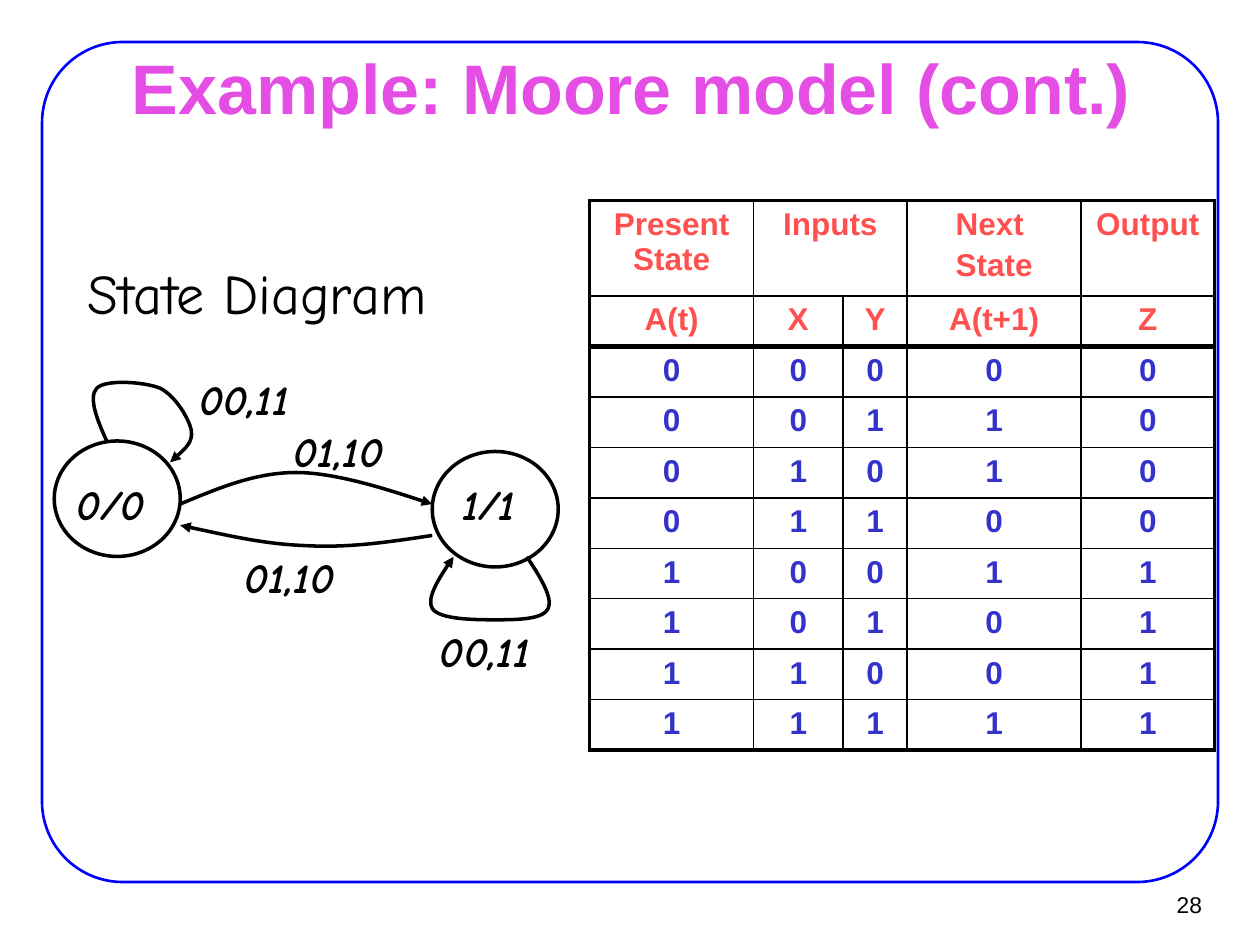
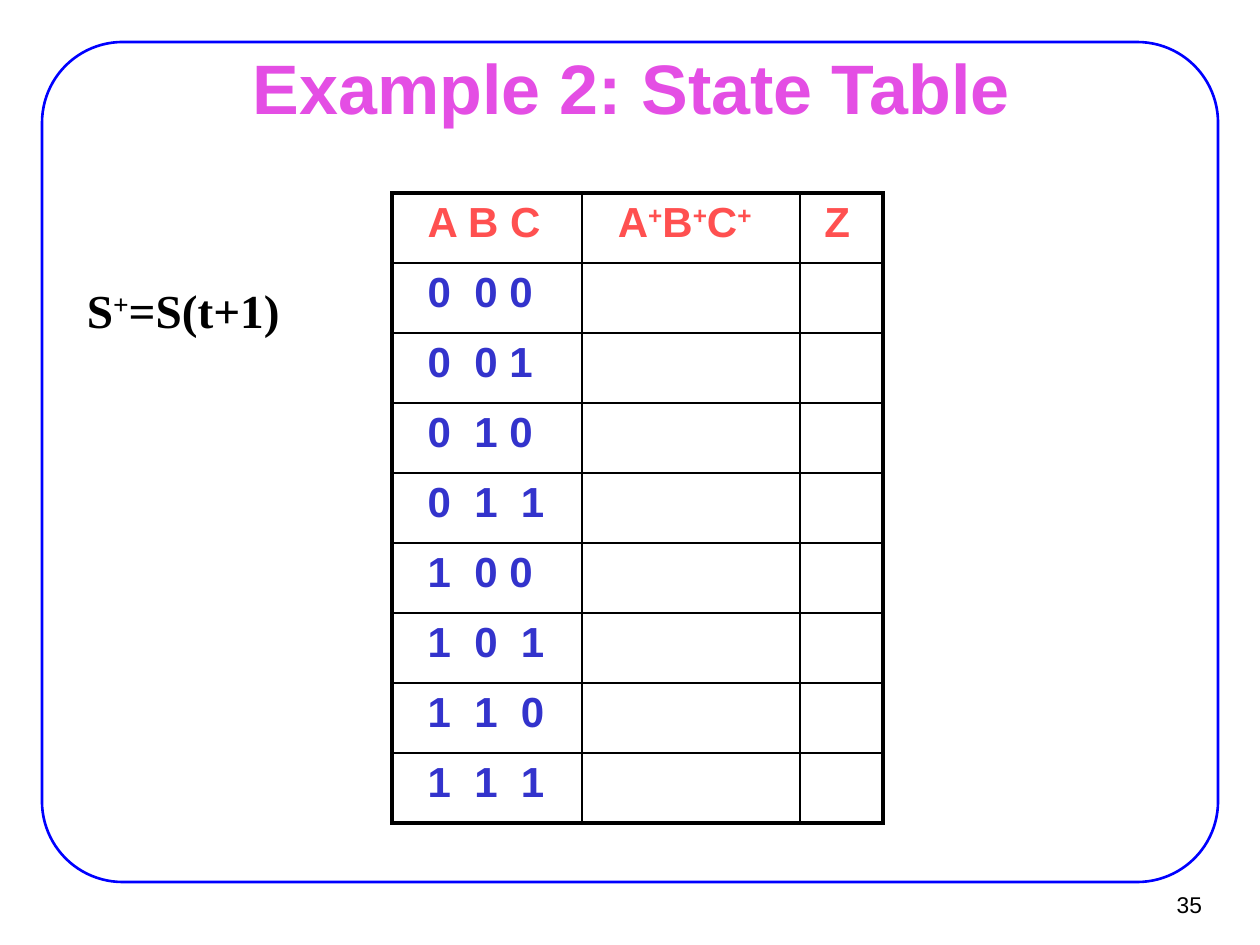
from lxml.etree import SubElement
from pptx import Presentation
from pptx.dml.color import RGBColor
from pptx.enum.shapes import MSO_SHAPE as SHAPE
from pptx.enum.text import MSO_ANCHOR as ANCHOR, PP_ALIGN as ALIGN
from pptx.oxml.ns import qn
from pptx.util import Pt

BLACK = RGBColor(0x00, 0x00, 0x00)
BLUE = RGBColor(0x00, 0x00, 0xFF)
PINK = RGBColor(0xE4, 0x4E, 0xE4)
RED = RGBColor(0xFF, 0x50, 0x50)
INDIGO = RGBColor(0x33, 0x33, 0xCC)
SANS, COMIC, SERIF = "Arial", "Comic Neue", "Times New Roman"

MOORE_HEAD = [["Present State", "Inputs", "", "Next \nState", "Output"],
              ["A(t)", "X", "Y", "A(t+1)", "Z"]]
MOORE_ROWS = ["00000", "00110", "01010", "01100",
              "10011", "10101", "11001", "11111"]
MOORE_COLS = [93.6, 51.1, 36.7, 99.4, 76.3]
MOORE_HEIGHTS = [54.7] + [28.8] * 9

STATE_HEAD = [["A B C", "A^+B^+C^+", "Z"]]
STATE_ROWS = ["0  0 0", "0  0 1", "0  1 0", "0  1  1",
              "1  0 0", "1  0  1", "1  1  0", "1  1  1"]
STATE_COLS = [108.7, 124.6, 47.5]
STATE_INDENTS = [20.5, 20.5, 13.9]

NODES = [(31, 252), (247, 258)]
LABELS = [("0/0", 35.3, 270, 56.2), ("1/1", 251.3, 270, 56.2),
          ("00,11", 97.9, 210.2, 83.5), ("01,10", 151.9, 239.8, 83.5),
          ("01,10", 123.8, 311.8, 83.5), ("00,11", 235.4, 354.2, 83.5)]
CURVES = [
    [(61, 252), (55.4, 239.8), (50.4, 226.8), (55.4, 221.8), (60.5, 216.7),
     (82.1, 218.2), (91.4, 221.8), (100.1, 226.1), (108, 239), (109.4, 246.2),
     (110.2, 252.7), (103.7, 258.5), (97.2, 264.2)],
    [(103, 288), (123.8, 279.4), (145.4, 270), (169.2, 270), (193, 270),
     (233.3, 283.7), (247, 288)],
    [(247, 306), (223.2, 309.6), (199.4, 313.2), (175, 311.8), (151.2, 311),
     (127.4, 305.3), (103, 300.2)],
    [(301, 318.2), (308.9, 329.8), (316.1, 342), (313.2, 347.8), (310.3, 354.2),
     (294.5, 354.2), (283, 354.2), (272.2, 354.2), (251.3, 354.2), (247, 347.8),
     (243.4, 342), (254.9, 324), (259.2, 318.2)],
]


def add_run(p, text, size, font, color, bold, italic=False):
    r = p.add_run()
    r.text = text
    f = r.font
    f.size, f.name, f.bold, f.italic = Pt(size), font, bold, italic
    f.color.rgb = color
    return r


def write(tf, text, size, font, color, bold=False, italic=False, align=ALIGN.LEFT):
    for i, line in enumerate(text.split("\n")):
        p = tf.add_paragraph() if i else tf.paragraphs[0]
        p.alignment = align
        p.space_before = Pt(3.6 if i else 0)
        base, *raised = line.split("^")
        style = (size, font, color, bold, italic)
        add_run(p, base, *style)
        for part in raised:
            r = add_run(p, part[0], *style)
            r._r.get_or_add_rPr().set("baseline", "30000")
            if part[1:]:
                add_run(p, part[1:], *style)


def add_text(slide, box, text, *style, wrap=True, **options):
    tf = slide.shapes.add_textbox(*map(Pt, box)).text_frame
    tf.word_wrap = wrap
    write(tf, text, *style, **options)
    return tf


def outline(sp, color, width):
    sp.shadow.inherit = False
    sp.fill.background()
    sp.line.color.rgb = color
    sp.line.width = Pt(width)


def add_frame(slide):
    sp = slide.shapes.add_shape(SHAPE.ROUNDED_RECTANGLE, Pt(24), Pt(24), Pt(672), Pt(480))
    sp.adjustments[0] = 0.096
    outline(sp, BLUE, 1.5)
    slide.slide_layout.shapes.element.append(sp.element)


def add_slide(title, number):
    slide = prs.slides.add_slide(layout)
    sp = slide.shapes.title
    sp.left, sp.top, sp.width, sp.height = map(Pt, (54.7, 31.7, 612, 35.3))
    tf = sp.text_frame
    tf.word_wrap = True
    tf.vertical_anchor = ANCHOR.MIDDLE
    write(tf, title, 40, SANS, PINK, bold=True, align=ALIGN.CENTER)
    tf = add_text(slide, (649.4, 503.3, 43.9, 26.6), number, 13, SANS, BLACK,
                  wrap=False, align=ALIGN.RIGHT)
    tf.vertical_anchor = ANCHOR.MIDDLE
    tf.margin_left = tf.margin_right = Pt(6.5)
    return slide


def add_curve(slide, points):
    start, *rest = [(Pt(x), Pt(y)) for x, y in points]
    builder = slide.shapes.build_freeform(*start, scale=1.0)
    builder.add_line_segments(rest, close=False)
    sp = builder.convert_to_shape()
    outline(sp, BLACK, 2)
    segments = list(sp.element.iter(qn("a:lnTo")))
    for i in range(0, len(segments), 3):
        first, *others = segments[i:i + 3]
        first.tag = qn("a:cubicBezTo")
        for seg in others:
            first.append(seg[0])
            seg.getparent().remove(seg)
    SubElement(sp.line._get_or_add_ln(), qn("a:tailEnd"), type="triangle")


def set_borders(cell, widths):
    tcPr = cell._tc.get_or_add_tcPr()
    for side, width in zip("LRTB", widths):
        ln = SubElement(tcPr, qn("a:ln" + side), w=str(Pt(width)))
        fill = SubElement(ln, qn("a:solidFill"))
        SubElement(fill, qn("a:srgbClr"), val=str(BLACK))


def add_grid(slide, left, top, cols, heights, head, body, size, align, rule=1, indents=None):
    rows = head + body
    last_row, last_col = len(rows) - 1, len(cols) - 1
    box = map(Pt, (left, top, sum(cols), sum(heights)))
    table = slide.shapes.add_table(len(rows), len(cols), *box).table
    table.first_row = table.horz_banding = False
    for col, width in zip(table.columns, cols):
        col.width = Pt(width)
    for row, height in zip(table.rows, heights):
        row.height = Pt(height)
    edges = [2.25] + [1] * last_row + [2.25]
    edges[len(head)] = rule
    for i, values in enumerate(rows):
        for j, value in enumerate(values):
            cell = table.cell(i, j)
            set_borders(cell, (1 if j else 2.25, 2.25 if j == last_col else 1,
                               edges[i], edges[i + 1]))
            cell.fill.background()
            if indents:
                cell.margin_left = Pt(indents[j])
            if value:
                color = RED if i < len(head) else INDIGO
                write(cell.text_frame, value, size, SANS, color, bold=True, align=align)
    return table


prs = Presentation()
prs.slide_width, prs.slide_height = Pt(720), Pt(540)
layout = prs.slide_layouts[5]

moore = add_slide("Example: Moore model (cont.)", "28")
add_frame(moore)
add_text(moore, (43.2, 144, 288, 45.4), "State Diagram", 32, COMIC, BLACK)
for x, y in NODES:
    outline(moore.shapes.add_shape(SHAPE.OVAL, Pt(x), Pt(y), Pt(72), Pt(66)), BLACK, 2)
for points in CURVES:
    add_curve(moore, points)
for text, x, y, width in LABELS:
    add_text(moore, (x, y, width, 36), text, 24, COMIC, BLACK,
             bold=True, italic=True, wrap=False, align=ALIGN.CENTER)
table = add_grid(moore, 337, 114.5, MOORE_COLS, MOORE_HEIGHTS, MOORE_HEAD,
                 [list(row) for row in MOORE_ROWS], 18, ALIGN.CENTER, rule=3)
table.cell(0, 1).merge(table.cell(0, 2))

state = add_slide("Example 2: State Table", "35")
add_grid(state, 223.9, 110.2, STATE_COLS, [40] * 9, STATE_HEAD,
         [[row, "", ""] for row in STATE_ROWS], 24, ALIGN.LEFT, indents=STATE_INDENTS)
add_text(state, (42.5, 157, 147.6, 39.6), "S^+=S(t+1)", 27, SERIF, BLACK, bold=True)

prs.save("out.pptx")
